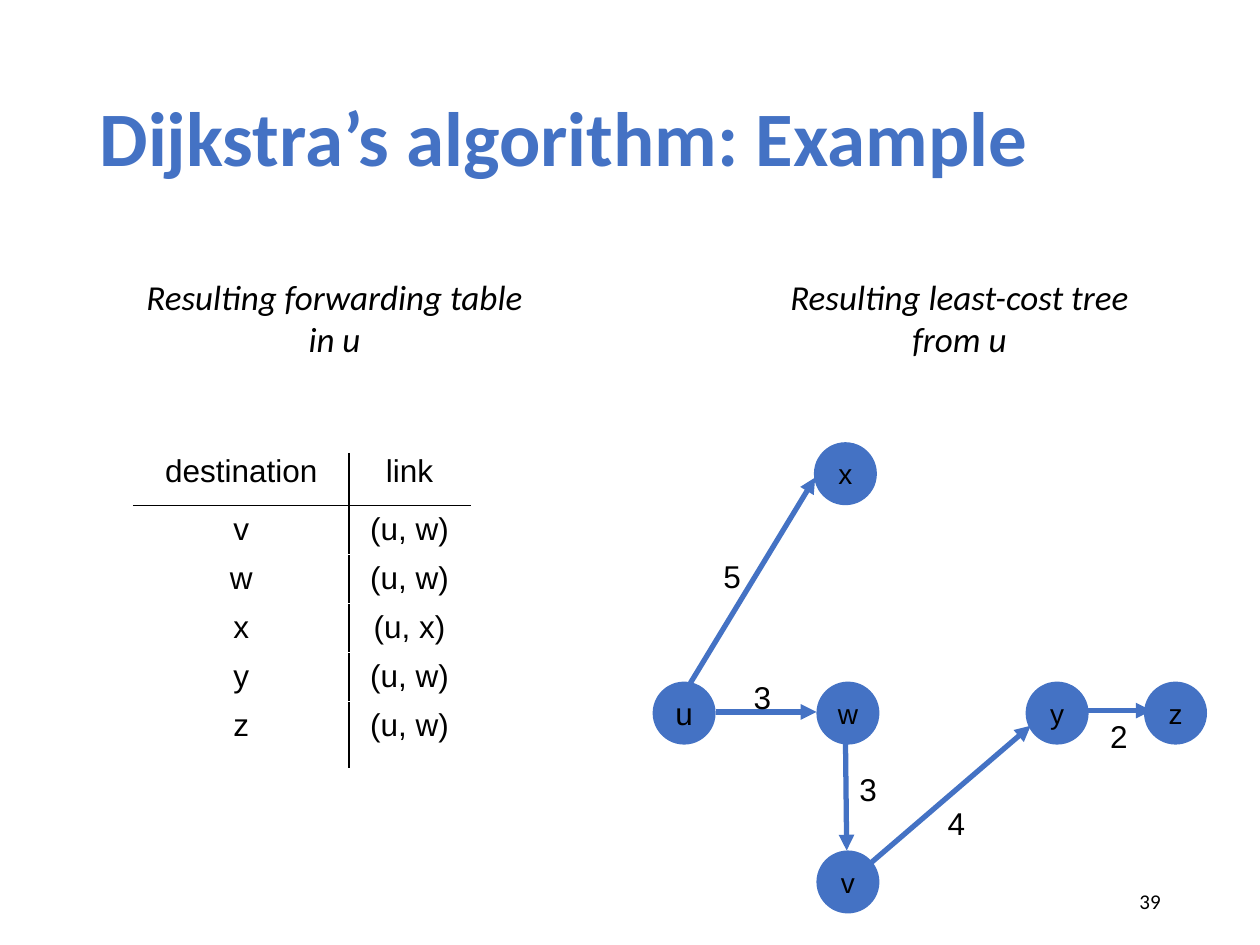
import pptx
import pptx.util
import pptx.dml.color
import pptx.enum.shapes
import pptx.enum.text
import pptx.oxml
import pptx.oxml.ns
from dataclasses import dataclass


@dataclass(frozen=True)
class Theme:
    accent: str = "4472C4"
    ink: str = "000000"
    head_font: str = "Calibri"
    text_font: str = "Arial"
    title: int = 44
    caption: int = 20
    label: int = 18
    node: int = 16
    footer: int = 12
    edge: float = 3
    rule: float = 0.75


theme = Theme()
ALIGN = pptx.enum.text.PP_ALIGN
ANCHOR = pptx.enum.text.MSO_ANCHOR
SHAPE = pptx.enum.shapes.MSO_SHAPE
rgb = pptx.dml.color.RGBColor.from_string

deck = pptx.Presentation()
deck.slide_width = pptx.util.Inches(10)
deck.slide_height = pptx.util.Inches(7.5)
page = deck.slides.add_slide(deck.slide_layouts[5])
COLUMNS = 100


def grid(*counts):
    return [round(deck.slide_width * count / COLUMNS) for count in counts]


def write(frame, text, size, font=theme.text_font, color=theme.ink, align=ALIGN.CENTER,
          anchor=ANCHOR.TOP, wrap=False, **style):
    for name, value in {"word_wrap": wrap, "vertical_anchor": anchor}.items():
        setattr(frame, name, value)
    frame.text = text
    look = {"size": pptx.util.Pt(size), "name": font, **style}
    for para in frame.paragraphs:
        para.alignment = align
        for span in para.runs:
            span.font.color.rgb = rgb(color)
            for name, value in look.items():
                setattr(span.font, name, value)


title = page.shapes.title
title.left, title.top, title.width, title.height = grid(6.9, 4, 86.2, 14.5)
write(title.text_frame, "Dijkstra’s algorithm: Example", theme.title, theme.head_font,
      theme.accent, ALIGN.LEFT, ANCHOR.MIDDLE, True, bold=True)
title.text_frame.auto_size = pptx.enum.text.MSO_AUTO_SIZE.NONE
title.text_frame.paragraphs[0].line_spacing = 0.9

captions = [
    ("Resulting forwarding table\nin u", 10.5, 32.1),
    ("Resulting least-cost tree\nfrom u", 61.6, 29.1),
]
for text, left, width in captions:
    box = page.shapes.add_textbox(*grid(left, 21.4, width, 7.7))
    write(box.text_frame, text, theme.caption, theme.head_font, italic=True)

NODE = 5
LEVEL = 54.1
nodes = {
    "x": (64.6, 35.1),
    "u": (51.8, LEVEL),
    "z": (90.8, LEVEL),
    "v": (64.8, 67.5),
    "y": (81.4, LEVEL),
    "w": (64.8, LEVEL),
}
for name, (left, top) in nodes.items():
    node = page.shapes.add_shape(SHAPE.OVAL, *grid(left, top, NODE, NODE))
    node.shadow.inherit = False
    node.fill.solid()
    node.fill.fore_color.rgb = rgb(theme.accent)
    node.line.fill.background()
    size = theme.label if name == "u" else theme.node
    write(node.text_frame, name, size, anchor=ANCHOR.MIDDLE)

edges = [
    ("2", (86.1, 56.4), (91.4, 56.4), (87.1, 56.4)),
    ("4", (69.1, 68.5), (81.8, 57.6), (74.2, 63.3)),
    ("3", (67.1, 58.5), (67.2, 67.5), (67.2, 60.6)),
    ("5", (54.8, 54.2), (64.7, 37.9), (56.4, 43.7)),
    ("3", (56.8, 56.5), (64.8, 56.5), (58.8, 53.3)),
]
for cost, start, end, corner in edges:
    arrow = page.shapes.add_connector(pptx.enum.shapes.MSO_CONNECTOR.STRAIGHT, *grid(*start, *end))
    arrow.line.color.rgb = rgb(theme.accent)
    arrow.line.width = pptx.util.Pt(theme.edge)
    line = arrow.line._get_or_add_ln()
    line.append(pptx.oxml.parse_xml(f'<a:tailEnd {pptx.oxml.ns.nsdecls("a")} type="triangle"/>'))
    arrow._element.spPr.append(pptx.oxml.parse_xml(f'<a:effectLst {pptx.oxml.ns.nsdecls("a")}/>'))
    box = page.shapes.add_textbox(*grid(*corner, 3.4, 4))
    write(box.text_frame, cost, theme.label)

routes = [
    ("destination", "link"),
    ("v", "(u, w)"),
    ("w", "(u, w)"),
    ("x", "(u, x)"),
    ("y", "(u, w)"),
    ("z", "(u, w)"),
]
widths = [17.1, 9.6]
heights = [4.1, 3.9, 3.9, 3.9, 3.9, 5.3]
frame = page.shapes.add_table(len(routes), len(widths), *grid(10.6, 36, sum(widths), sum(heights)))
table = frame.table
table.first_row = table.horz_banding = False
for column, width in zip(table.columns, grid(*widths)):
    column.width = width
for row, height in zip(table.rows, grid(*heights)):
    row.height = height
for row, route in enumerate(routes):
    for column, text in enumerate(route):
        cell = table.cell(row, column)
        write(cell.text_frame, text, theme.label)
        cell.fill.background()
        inset = grid(0.5 if row else 0)[0]
        for side, value in {"left": 0, "right": 0, "top": inset, "bottom": 0}.items():
            setattr(cell, f"margin_{side}", value)
        borders = {"lnL": column == 1, "lnR": column == 0, "lnT": row == 1, "lnB": row == 0}
        sides = [side for side, shown in borders.items() if shown]
        for place, side in enumerate(sides):
            cell._tc.tcPr.insert(place, pptx.oxml.parse_xml(
                f'<a:{side} {pptx.oxml.ns.nsdecls("a")} w="{pptx.util.Pt(theme.rule)}">'
                f'<a:solidFill><a:srgbClr val="{theme.ink}"/></a:solidFill></a:{side}>'))

number = page.shapes.add_textbox(*grid(70.6, 69.5, 22.5, 4))
write(number.text_frame, "39", theme.footer, theme.head_font, align=ALIGN.RIGHT,
      anchor=ANCHOR.MIDDLE, wrap=True)

deck.save("out.pptx")
